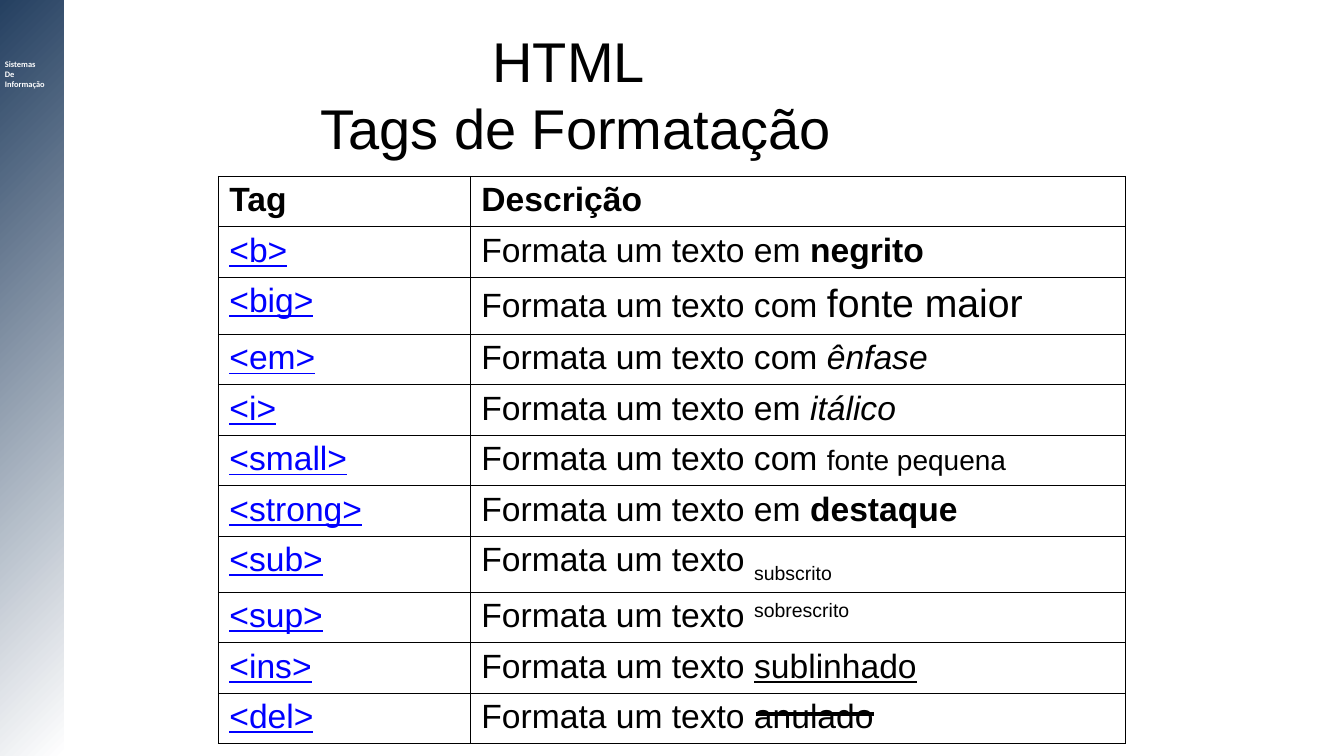
"""Builds a slide with a table of HTML formatting tags."""
from lxml import etree
from pptx import Presentation
from pptx.dml.color import RGBColor
from pptx.enum.shapes import MSO_CONNECTOR, MSO_SHAPE
from pptx.enum.text import MSO_ANCHOR, MSO_AUTO_SIZE, PP_ALIGN
from pptx.oxml.ns import qn
from pptx.util import Inches, Pt

LINE, RECT = MSO_CONNECTOR.STRAIGHT, MSO_SHAPE.RECTANGLE
MIDDLE, CENTER, NO_FIT = MSO_ANCHOR.MIDDLE, PP_ALIGN.CENTER, MSO_AUTO_SIZE.NONE
BLACK = RGBColor(0x00, 0x00, 0x00)
WHITE = RGBColor(0xFF, 0xFF, 0xFF)
NAVY = RGBColor(0x25, 0x40, 0x61)
BLUE = RGBColor(0x00, 0x00, 0xFF)

COLS, ROWS = 80, 45
deck = Presentation()
deck.slide_width, deck.slide_height = Inches(13.333), Inches(7.5)
UNIT = deck.slide_height / ROWS


def grid(*steps):
    return [round(step * UNIT) for step in steps]


def write(par, text, size=24, face="Arial", color=BLACK, bold=False,
          italic=False, under=False, base=0):
    for num, part in enumerate(text.split("\n")):
        if num:
            par.add_line_break()
            etree.SubElement(par._p[-1], qn("a:rPr"), sz=str(size * 100))
        run = par.add_run()
        run.text = part
        font = run.font
        font.size, font.name, font.color.rgb = Pt(size), face, color
        font.bold, font.italic, font.underline = bold, italic, under
        if base:
            run._r.get_or_add_rPr().set("baseline", str(base * 1000))


slide = deck.slides.add_slide(deck.slide_layouts[5])

band = slide.shapes.add_shape(RECT, *grid(0, 0, 3.8, ROWS))
band.shadow.inherit = False
band.line.fill.background()
band.fill.gradient()
band.fill.gradient_angle = 135
for stop, color, place in zip(band.fill.gradient_stops, (WHITE, NAVY), (0, 1)):
    stop.color.rgb, stop.position = color, place

label = slide.shapes.add_textbox(*grid(-0.3, 3.2, 6, 3.4)).text_frame
label.word_wrap = True
for num, word in enumerate(("Sistemas", "De", "Informação")):
    par = label.add_paragraph() if num else label.paragraphs[0]
    write(par, word, size=6, face="Calibri", color=WHITE, bold=True)

title = slide.shapes.title
title.left, title.top, title.width, title.height = grid(13, 1.8, 42.5, 7.5)
frame = title.text_frame
frame.auto_size, frame.vertical_anchor = NO_FIT, MIDDLE
frame.paragraphs[0].alignment = CENTER
write(frame.paragraphs[0], "HTML \nTags de Formatação", size=40)

TAGS = (
    ("<b>", "em ", "negrito", {"bold": True}),
    ("<big>", "com ", "fonte maior", {"size": 28}),
    ("<em>", "com ", "ênfase ", {"italic": True}),
    ("<i>", "em ", "itálico", {"italic": True}),
    ("<small>", "com ", "fonte pequena", {"size": 20}),
    ("<strong>", "em ", "destaque", {"bold": True}),
    ("<sub>", "", "subscrito", {"base": -25}),
    ("<sup>", "", "sobrescrito", {"base": 30}),
    ("<ins>", "", "sublinhado", {"under": True}),
    ("<del>", "", "anulado", {}),
)
TALL = {2: 3.4, 7: 3.12}
high = [TALL.get(num, 3) for num in range(len(TAGS) + 1)]
table = slide.shapes.add_table(
    len(high), 2, *grid(13, 10.5, 54, sum(high))).table
table.first_row = table.horz_banding = False
for col, wide in zip(table.columns, grid(15, 39)):
    col.width = wide
for row, tall in zip(table.rows, grid(*high)):
    row.height = tall

for cell in table.iter_cells():
    props = cell._tc.get_or_add_tcPr()
    for side in ("lnL", "lnR", "lnT", "lnB"):
        edge = etree.SubElement(props, qn(f"a:{side}"), w=str(Pt(1)))
        fill = etree.SubElement(edge, qn("a:solidFill"))
        etree.SubElement(fill, qn("a:srgbClr"), val=str(BLACK))
    cell.fill.background()
    indent = cell.text_frame.paragraphs[0]._p.get_or_add_pPr()
    indent.set("marL", str(Inches(0.38)))
    indent.set("indent", str(Inches(-0.37)))

for num, head in enumerate(("Tag", "Descrição")):
    write(table.cell(0, num).text_frame.paragraphs[0], head, bold=True)
for num, (tag, link, word, style) in enumerate(TAGS, 1):
    name, note = (table.cell(num, col).text_frame.paragraphs[0]
                  for col in (0, 1))
    write(name, tag, color=BLUE, under=True)
    write(note, "Formata um texto " + link)
    write(note, word, **style)

strike = slide.shapes.add_connector(LINE, *grid(45, 42.5, 52, 42.5))
strike.line.color.rgb, strike.line.width = BLACK, Pt(2.25)
etree.SubElement(strike._element.spPr, qn("a:effectLst"))

deck.save("out.pptx")
